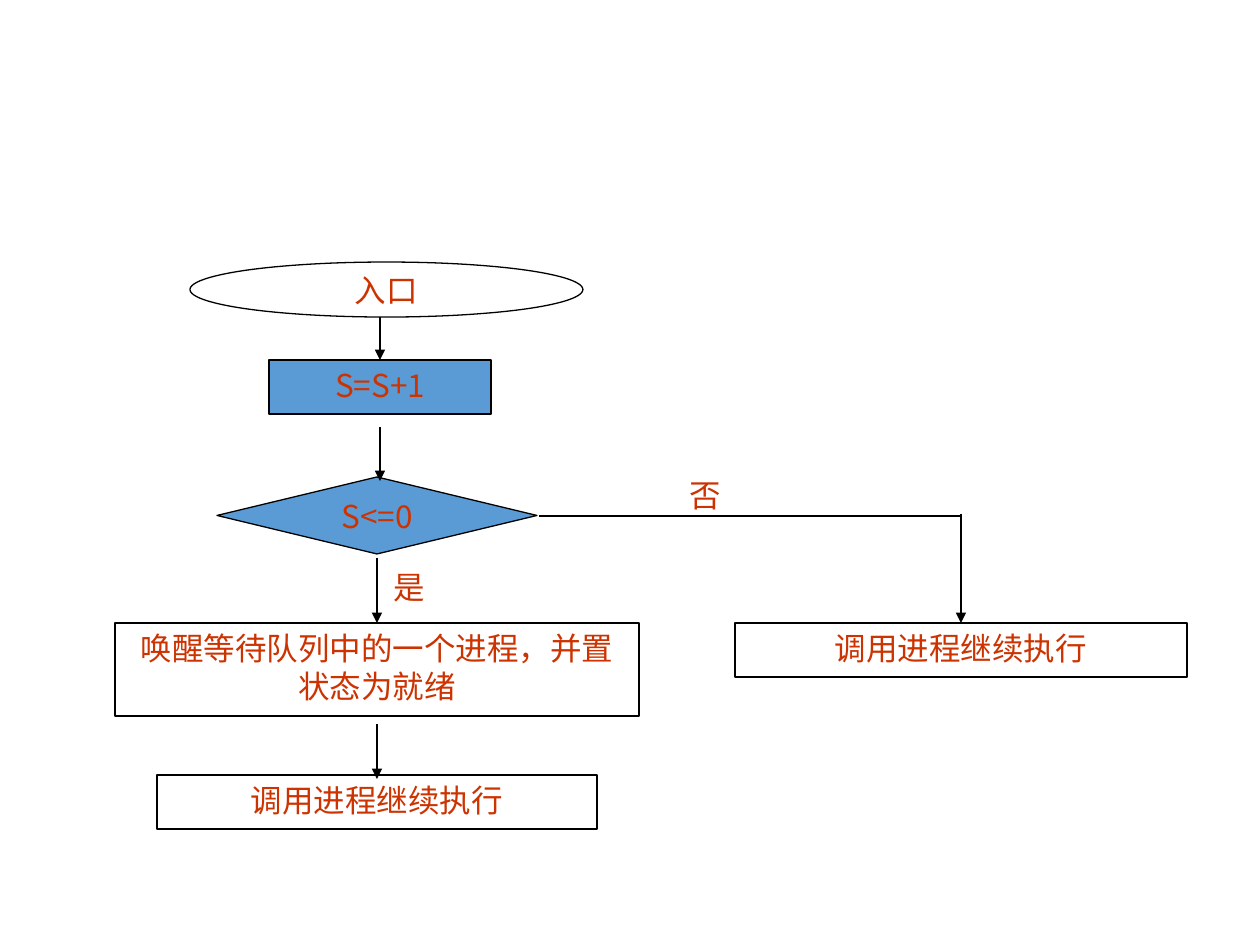
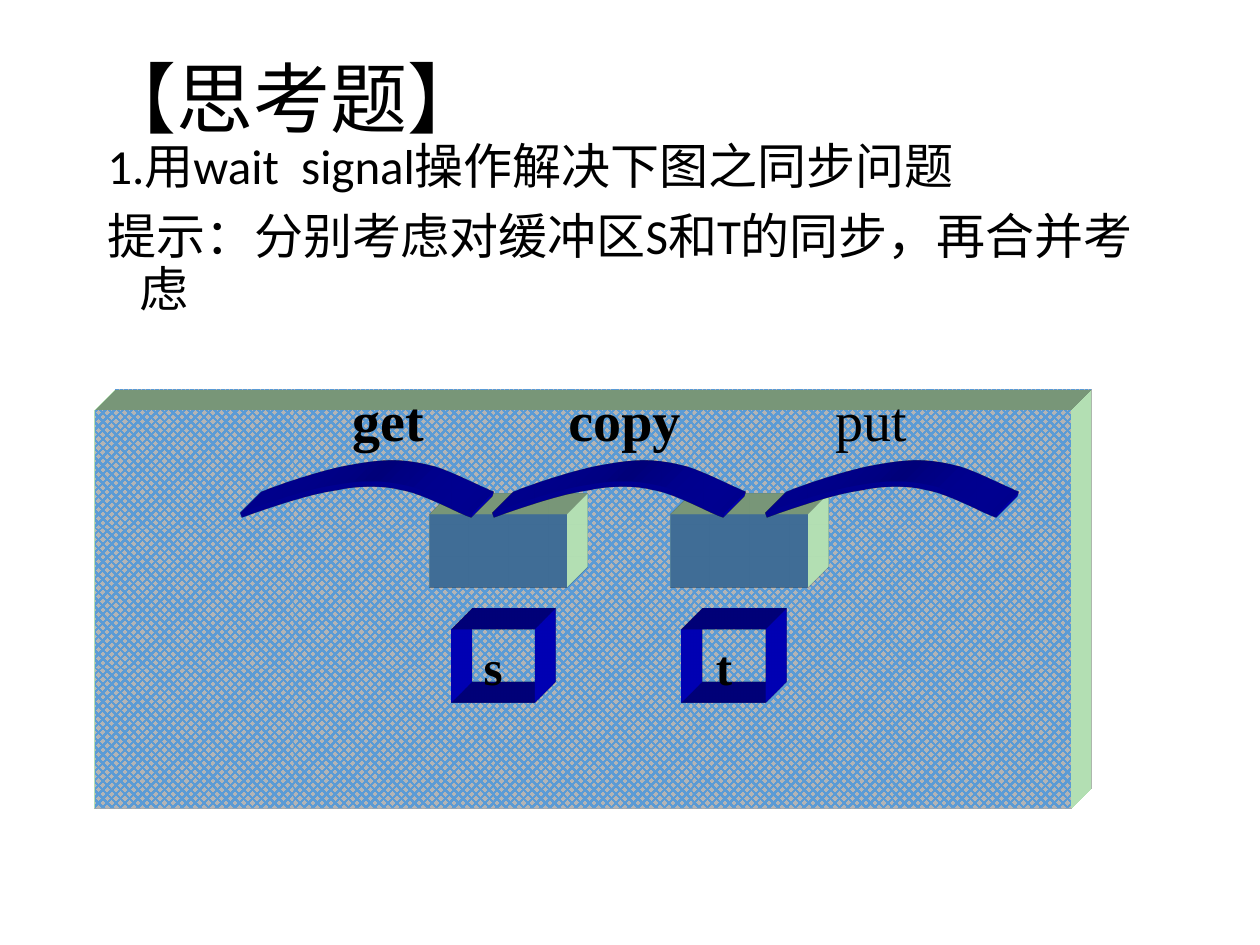
from lxml import etree
from pptx import Presentation
from pptx.dml.color import RGBColor
from pptx.enum.dml import MSO_PATTERN
from pptx.enum.shapes import MSO_CONNECTOR, MSO_SHAPE
from pptx.enum.text import MSO_ANCHOR, PP_ALIGN
from pptx.oxml import parse_xml
from pptx.oxml.ns import nsdecls, qn
from pptx.util import Pt

PX = 914400 / 126
COLORS = {"black": "000000", "white": "FFFFFF", "label": "CC3300",
          "blue": "5B9BD5", "arc": "0000CC", "side": "CCFFCC"}
CJK, BODY, SERIF = "Noto Sans CJK SC", "Calibri", "Times New Roman"
RECTANGLE, OVAL, DIAMOND = MSO_SHAPE.RECTANGLE, MSO_SHAPE.OVAL, MSO_SHAPE.DIAMOND
STRAIGHT = MSO_CONNECTOR.STRAIGHT
TOP, MIDDLE = MSO_ANCHOR.TOP, MSO_ANCHOR.MIDDLE
LEFT, CENTER = PP_ALIGN.LEFT, PP_ALIGN.CENTER
CHECKER = MSO_PATTERN.PERCENT_50
TITLE_ONLY, BLANK = 5, 6
TOP_SIDE = 0


def emu(*lengths):
    return [round(length * PX) for length in lengths]


def rgb(name):
    return RGBColor.from_string(COLORS[name])


def write(paragraph, text, size, font=CJK, color="black", bold=False, align=CENTER):
    paragraph.alignment = align
    run = paragraph.add_run()
    run.text = text
    run.font.size, run.font.bold, run.font.name = Pt(size), bold, font
    run.font.color.rgb = rgb(color)
    etree.SubElement(run.font._element, qn("a:ea"), typeface=CJK)


def add_text(slide, box, text, size, wrap=True, **style):
    text_box = slide.shapes.add_textbox(*emu(*box))
    text_box.text_frame.word_wrap = wrap
    write(text_box.text_frame.paragraphs[0], text, size, **style)
    return text_box


def add_block(slide, kind, box, fill=None, line=None):
    shape = slide.shapes.add_shape(kind, *emu(*box))
    shape.shadow.inherit = False
    if fill:
        shape.fill.solid()
        shape.fill.fore_color.rgb = rgb(fill)
    else:
        shape.fill.background()
    if line:
        shape.line.color.rgb = rgb(line)
        shape.line.width = Pt(0.75)
    else:
        shape.line.fill.background()
    return shape


def extrude(shape, color):
    """Give a shape an oblique depth towards the top right."""
    properties = shape._element.spPr
    properties.append(parse_xml(
        f'<a:scene3d {nsdecls("a")}><a:camera prst="legacyObliqueTopRight"/>'
        '<a:lightRig rig="legacyFlat3" dir="b"/></a:scene3d>'))
    properties.append(parse_xml(
        f'<a:sp3d {nsdecls("a")} extrusionH="430200" prstMaterial="legacyMatte">'
        f'<a:extrusionClr><a:srgbClr val="{COLORS[color]}"/></a:extrusionClr></a:sp3d>'))


# Flowchart of the signal operation
def add_step(slide, kind, box, text, fill=None):
    shape = add_block(slide, kind, box, fill, "black")
    frame = shape.text_frame
    frame.word_wrap = kind == RECTANGLE
    frame.vertical_anchor = TOP if kind == RECTANGLE else MIDDLE
    write(frame.paragraphs[0], text, 18, color="label")
    return shape


def add_flow_line(slide, start, end, arrow=True, target=None):
    connector = slide.shapes.add_connector(STRAIGHT, *emu(*start, *end))
    connector.line.color.rgb = rgb("black")
    connector.line.width = Pt(0.75)
    if arrow:
        etree.SubElement(connector.line._get_or_add_ln(), qn("a:tailEnd"), type="triangle")
    etree.SubElement(connector._element.spPr, qn("a:effectLst"))
    if target:
        connector.end_connect(target, TOP_SIDE)


def flowchart(slide, left, top):
    def at(x, y):
        return left + x, top + y

    def step(kind, x, y, width, height, text, fill=None):
        return add_step(slide, kind, (*at(x, y), width, height), text, fill)

    step(OVAL, 75, 0, 393, 55, "入口")
    increment = step(RECTANGLE, 154, 98, 222, 54, "S=S+1", "blue")
    wake = step(RECTANGLE, 0, 361, 524, 93, "唤醒等待队列中的一个进程，并置状态为就绪")
    step(DIAMOND, 102, 215, 320, 77, "S<=0", "blue")
    step(RECTANGLE, 42, 513, 440, 54, "调用进程继续执行")
    resume = step(RECTANGLE, 620, 361, 452, 54, "调用进程继续执行")

    for x, start, end, target in ((265, 55, 98, increment), (265, 165, 219, None),
                                  (262, 296, 361, wake), (262, 462, 517, None),
                                  (846, 252, 361, resume)):
        add_flow_line(slide, at(x, start), at(x, end), target=target)
    add_flow_line(slide, at(424, 254), at(846, 254), arrow=False)

    for x, y, answer in ((255, 300, "是"), (551, 208, "否")):
        add_text(slide, (*at(x, y), 79, 53), answer, 18, wrap=False, color="label")


# Question text
def question(slide, left, top):
    title = slide.shapes.title
    title.left, title.top, title.width, title.height = emu(left, top, 964, 98)
    title.text_frame.vertical_anchor = MIDDLE
    heading = title.text_frame.paragraphs[0]
    heading.line_spacing = 0.9
    write(heading, "【思考题】", 44, align=LEFT)

    body = slide.shapes.add_textbox(*emu(left + 8, top + 82, 1092, 746))
    frame = body.text_frame
    frame.word_wrap = True
    lines = ("1.用wait  signal操作解决下图之同步问题",
             "提示：分别考虑对缓冲区S和T的同步，再合并考虑")
    for index, line in enumerate(lines):
        paragraph = frame.add_paragraph() if index else frame.paragraphs[0]
        indent = emu(32)[0]
        paragraph._p.get_or_add_pPr().set("marL", str(indent))
        paragraph._p.get_or_add_pPr().set("indent", str(-indent))
        paragraph.line_spacing = 0.9
        paragraph.space_before = Pt(10 if index else 0)
        write(paragraph, line, 28, font=BODY, align=LEFT)


# Buffers S and T with the operations that move data between them
ARC_START = (0, 32)
ARC_CURVES = (((33, 20), (67, 9), (93, 5)),
              ((121, 0), (140, 0), (163, 5)),
              ((185, 9), (218, 28), (231, 32)))


def arc_points(steps=8):
    start, points = ARC_START, []
    for curve in ARC_CURVES:
        controls = (start, *curve)
        for step in range(1, steps + 1):
            t = step / steps
            weights = ((1 - t) ** 3, 3 * t * (1 - t) ** 2, 3 * t * t * (1 - t), t ** 3)
            points.append(tuple(sum(w * c[axis] for w, c in zip(weights, controls))
                                for axis in (0, 1)))
        start = curve[-1]
    return points


def add_arc(slide, left, top):
    builder = slide.shapes.build_freeform(*emu(left, top + ARC_START[1]))
    builder.add_line_segments([emu(left + x, top + y) for x, y in arc_points()], close=False)
    arc = builder.convert_to_shape()
    arc.shadow.inherit = False
    arc.fill.background()
    arc.line.color.rgb = rgb("arc")
    arc.line.width = Pt(3)
    extrude(arc, "arc")


def buffer_diagram(slide, left, top, width, height):
    panel = add_block(slide, RECTANGLE, (left, top, width, height), "blue")
    panel.fill.patterned()
    panel.fill.pattern = CHECKER
    panel.fill.fore_color.rgb = rgb("blue")
    panel.fill.back_color.rgb = rgb("white")
    extrude(panel, "side")

    for x in (336, 577):
        extrude(add_block(slide, RECTANGLE, (left + x, top + 105, 137, 73), "blue"), "side")
    for x in (147, 399, 672):
        add_arc(slide, left + x, top + 73)
    for x, label_width, name, bold in ((231, 126, "get", True), (452, 157, "copy", True),
                                       (714, 126, "put", False)):
        add_text(slide, (left + x, top - 31, label_width, 79), name, 32, font=SERIF, bold=bold)
    for x, name in ((357, "s"), (588, "t")):
        frame_shape = add_block(slide, RECTANGLE, (left + x, top + 220, 84, 73), line="arc")
        frame_shape.text_frame.vertical_anchor = TOP
        write(frame_shape.text_frame.paragraphs[0], name, 28, font=SERIF, bold=True)
        extrude(frame_shape, "arc")


def main():
    presentation = Presentation()
    presentation.slide_width, presentation.slide_height = emu(1260, 945)
    layouts = presentation.slide_layouts

    flowchart(presentation.slides.add_slide(layouts[BLANK]), 115, 262)

    slide = presentation.slides.add_slide(layouts[TITLE_ONLY])
    question(slide, 87, 54)
    buffer_diagram(slide, 94, 410, 977, 399)

    presentation.save("out.pptx")


if __name__ == "__main__":
    main()
